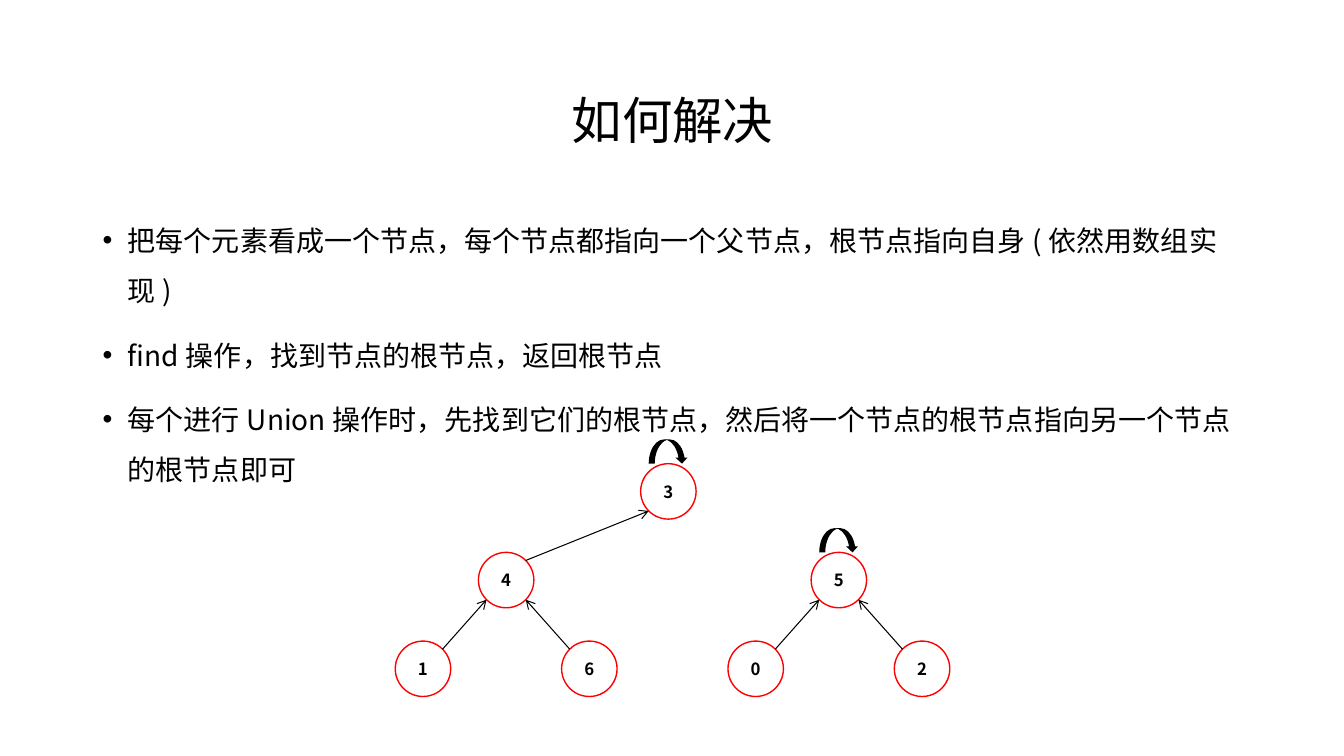
"""Build a slide that explains union-find with two small trees of nodes."""
from math import sqrt

from lxml import etree
from pptx import Presentation, util as u
from pptx.dml.color import RGBColor
from pptx.enum import shapes, text
from pptx.oxml.ns import qn

FONT = "Noto Sans CJK SC"
BLACK, RED = "000000", "FF0000"
LEFT, TOP, COLUMN, ROW = 3.92, 4.6, 0.825, 0.88
NODE, LOOP_WIDTH, LOOP_HEIGHT = 0.55, 0.39, 0.24


def color(value):
    """Turn a hex string into a colour."""
    return RGBColor.from_string(value)


def style(frame, size, spacing, align, bold=False):
    """Format every paragraph and run of a text frame."""
    for para in frame.paragraphs:
        para.alignment, para.line_spacing = align, spacing
        for span in para.runs:
            span.font.name, span.font.size, span.font.bold = FONT, u.Pt(size), bold
            span.font.color.rgb = color(BLACK)
            etree.SubElement(span.font._element, qn("a:ea"), typeface=FONT)


deck = Presentation()
deck.slide_width, deck.slide_height = u.Inches(13.33), u.Inches(7.5)
page = deck.slides.add_slide(deck.slide_layouts[5])

title = page.shapes.title
title.left, title.top, title.width, title.height = map(u.Inches, (0.92, 0.4, 11.5, 1.45))
title.text_frame.text = "如何解决"
title.text_frame.vertical_anchor = text.MSO_ANCHOR.MIDDLE
style(title.text_frame, 36, 1.2, text.PP_ALIGN.CENTER)

body = page.shapes.add_textbox(*map(u.Inches, (0.92, 2, 11.5, 5.1)))
body.text_frame.word_wrap = True
body.text_frame.text = "\n".join([
    "把每个元素看成一个节点，每个节点都指向一个父节点，根节点指向自身(依然用数组实现)",
    "find操作，找到节点的根节点，返回根节点",
    "每个进行Union操作时，先找到它们的根节点，然后将一个节点的根节点指向另一个节点的根节点即可",
])
style(body.text_frame, 20, 1.5, text.PP_ALIGN.LEFT)
for para in body.text_frame.paragraphs:
    para.space_before = u.Pt(10)
    properties = para._p.get_or_add_pPr()
    properties.set("marL", str(u.Inches(0.25)))
    properties.set("indent", str(-u.Inches(0.25)))
    etree.SubElement(properties, qn("a:buFont"), typeface="Arial")
    etree.SubElement(properties, qn("a:buChar"), char="•")

nodes = {"3": (2.95, 0), "4": (1, 1), "5": (5, 1),
         "1": (0, 2), "6": (2, 2), "0": (4, 2), "2": (6, 2)}
parents = {"4": "3", "1": "4", "6": "4", "0": "5", "2": "5"}
forest = page.shapes.add_group_shape().shapes
centers = {}

for name, (column, row) in nodes.items():
    x, y = LEFT + column * COLUMN, TOP + row * ROW
    centers[name] = x + NODE / 2, y + NODE / 2
    node = forest.add_shape(shapes.MSO_SHAPE.OVAL, *map(u.Inches, (x, y, NODE, NODE)))
    node.shadow.inherit = False
    node.fill.background()
    node.line.color.rgb, node.line.width = color(RED), u.Pt(1)
    frame = node.text_frame
    frame.margin_left = frame.margin_right = 0
    frame.vertical_anchor = text.MSO_ANCHOR.MIDDLE
    frame.text = name
    style(frame, 12, 1.0, text.PP_ALIGN.CENTER, bold=True)

reach = NODE / 2 / sqrt(2)
for child, parent in parents.items():
    (x1, y1), (x2, y2) = centers[child], centers[parent]
    side = reach if x2 > x1 else -reach
    ends = x1 + side, y1 - reach, x2 - side, y2 + reach
    arrow = forest.add_connector(shapes.MSO_CONNECTOR.STRAIGHT, *map(u.Inches, ends))
    arrow.line.color.rgb, arrow.line.width = color(BLACK), u.Pt(0.75)
    etree.SubElement(arrow.line._get_or_add_ln(), qn("a:tailEnd"), type="arrow")
    etree.SubElement(arrow._element.spPr, qn("a:effectLst"))

for root in nodes.keys() - parents.keys():
    x, y = centers[root]
    place = x - LOOP_WIDTH / 2, y - NODE / 2 - LOOP_HEIGHT, LOOP_WIDTH, LOOP_HEIGHT
    loop = forest.add_shape(shapes.MSO_SHAPE.CURVED_DOWN_ARROW, *map(u.Inches, place))
    loop.shadow.inherit = False
    loop.fill.solid()
    loop.fill.fore_color.rgb = color(BLACK)
    loop.line.fill.background()

deck.save("out.pptx")
